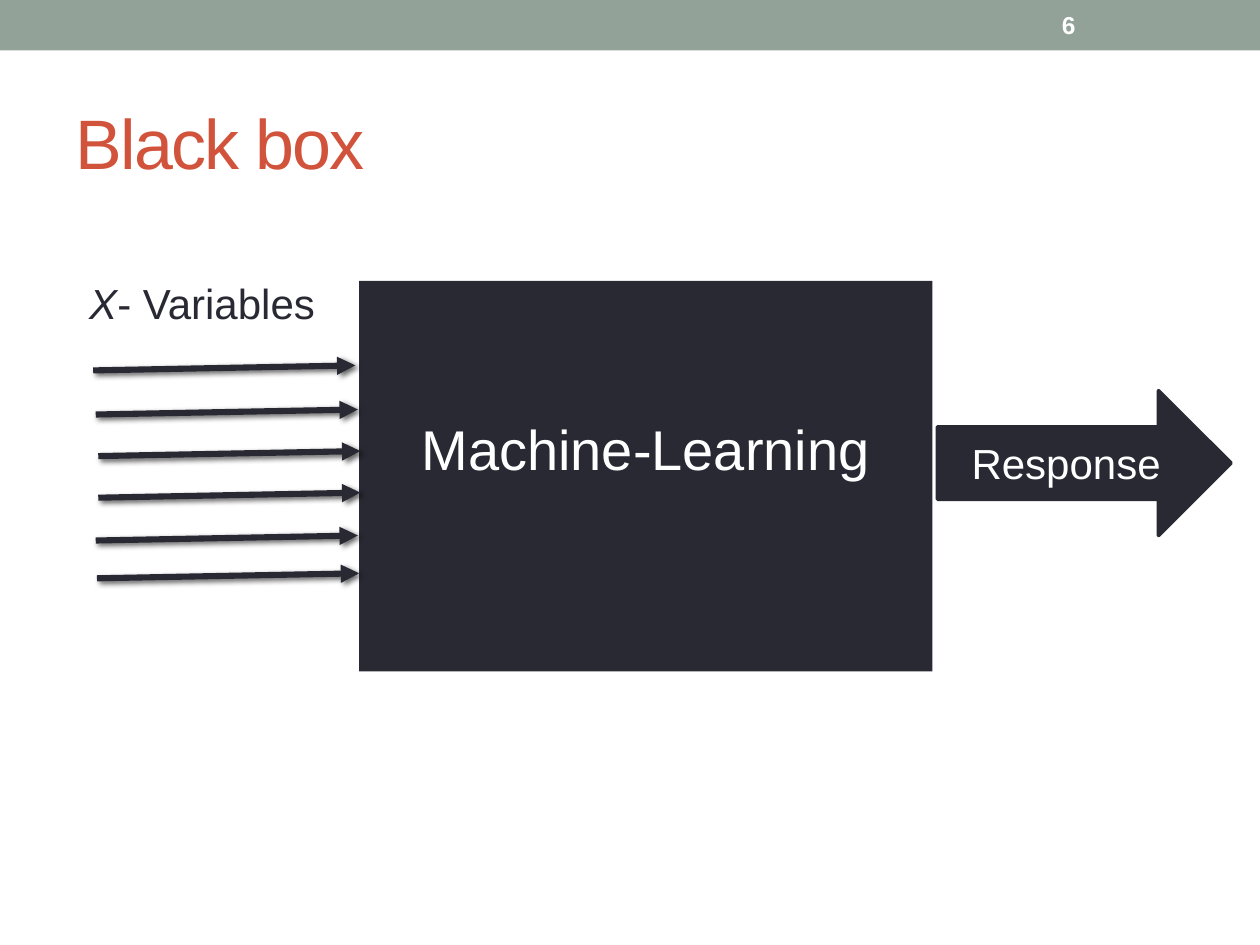
from dataclasses import dataclass

from lxml.etree import SubElement
from pptx import Presentation
from pptx.dml.color import RGBColor
from pptx.enum.shapes import MSO_CONNECTOR, MSO_SHAPE
from pptx.enum.text import MSO_ANCHOR, PP_ALIGN
from pptx.oxml import parse_xml
from pptx.oxml.ns import nsdecls, qn
from pptx.shapes.autoshape import Shape
from pptx.slide import Slide
from pptx.text.text import TextFrame
from pptx.util import Inches, Pt

DARK = "292934"
WHITE = "FFFFFF"
SAGE = "93A299"
RUST = "D2533C"


@dataclass
class Area:
    left: float
    top: float
    width: float
    height: float

    def lengths(self) -> list[Inches]:
        return [Inches(value) for value in (self.left, self.top, self.width, self.height)]


@dataclass
class Piece:
    text: str
    size: float
    color: str
    bold: bool = False
    italic: bool = False


@dataclass
class InputArrow:
    left: float
    top: float


TITLE_AREA = Area(0.5, 0.58, 9, 1.08)
INPUT_ARROWS = [
    InputArrow(0.74, 2.94),
    InputArrow(0.76, 3.29),
    InputArrow(0.78, 3.62),
    InputArrow(0.78, 3.95),
    InputArrow(0.76, 4.29),
    InputArrow(0.77, 4.59),
]
ARROW_RUN = 2.08
ARROW_RISE = 0.04


def rgb(color: str) -> RGBColor:
    return RGBColor.from_string(color)


def write(frame: TextFrame, pieces: list[Piece], align: PP_ALIGN = PP_ALIGN.LEFT,
          anchor: MSO_ANCHOR = MSO_ANCHOR.MIDDLE) -> None:
    frame.word_wrap = True
    frame.vertical_anchor = anchor
    para = frame.paragraphs[0]
    para.alignment = align
    for piece in pieces:
        span = para.add_run()
        span.text = piece.text
        span.font.name = "Arial"
        span.font.size = Pt(piece.size)
        span.font.bold = piece.bold
        span.font.italic = piece.italic
        span.font.color.rgb = rgb(piece.color)


def add_block(page: Slide, kind: MSO_SHAPE, area: Area, color: str) -> Shape:
    block = page.shapes.add_shape(kind, *area.lengths())
    block.shadow.inherit = False
    block.fill.solid()
    block.fill.fore_color.rgb = rgb(color)
    block.line.fill.background()
    return block


def add_text(page: Slide, area: Area, pieces: list[Piece], anchor: MSO_ANCHOR) -> None:
    box = page.shapes.add_textbox(*area.lengths())
    write(box.text_frame, pieces, anchor=anchor)


def add_title(page: Slide, text: str) -> None:
    title = page.shapes.title
    title.left, title.top, title.width, title.height = TITLE_AREA.lengths()
    write(title.text_frame, [Piece(text, 40, RUST)])
    span = title.text_frame.paragraphs[0].runs[0]
    span.font._element.set("spc", "-100")


def add_input_arrow(page: Slide, arrow: InputArrow) -> None:
    connector = page.shapes.add_connector(
        MSO_CONNECTOR.STRAIGHT, Inches(arrow.left), Inches(arrow.top),
        Inches(arrow.left + ARROW_RUN), Inches(arrow.top - ARROW_RISE))
    connector.line.color.rgb = rgb(DARK)
    connector.line.width = Pt(3.5)
    SubElement(connector.line._get_or_add_ln(), qn("a:tailEnd"), type="triangle")
    connector._element.spPr.append(parse_xml(
        f'<a:effectLst {nsdecls("a")}>'
        f'<a:outerShdw blurRad="{Pt(3)}" dist="{Pt(2)}" dir="2700000" rotWithShape="0">'
        '<a:srgbClr val="000000"><a:alpha val="60000"/></a:srgbClr>'
        '</a:outerShdw></a:effectLst>'))


def main() -> None:
    deck = Presentation()
    deck.slide_width = Inches(10)
    deck.slide_height = Inches(7.5)
    page = deck.slides.add_slide(deck.slide_layouts[5])

    add_block(page, MSO_SHAPE.RECTANGLE, Area(0, 0, 10, 0.4), SAGE)
    add_title(page, "Black box")
    add_text(page, Area(8.33, 0.02, 1.17, 0.36), [Piece("6", 14, WHITE, bold=True)],
             MSO_ANCHOR.MIDDLE)

    black_box = add_block(page, MSO_SHAPE.RECTANGLE, Area(2.85, 2.23, 4.55, 3.1), DARK)
    write(black_box.text_frame, [Piece("Machine-Learning", 32, WHITE)], PP_ALIGN.CENTER)
    black_box.text_frame.margin_bottom = Inches(0.49)

    for arrow in INPUT_ARROWS:
        add_input_arrow(page, arrow)

    response = add_block(page, MSO_SHAPE.RIGHT_ARROW, Area(7.44, 3.1, 2.33, 1.15), DARK)
    response.line.color.rgb = rgb(DARK)
    response.line.width = Pt(2.08)
    write(response.text_frame, [Piece("Response", 24, WHITE)], PP_ALIGN.CENTER)

    add_text(page, Area(0.61, 2.15, 2.09, 0.5),
             [Piece("X", 24, DARK, italic=True), Piece("- Variables", 24, DARK)],
             MSO_ANCHOR.TOP)

    deck.save("out.pptx")


if __name__ == "__main__":
    main()
